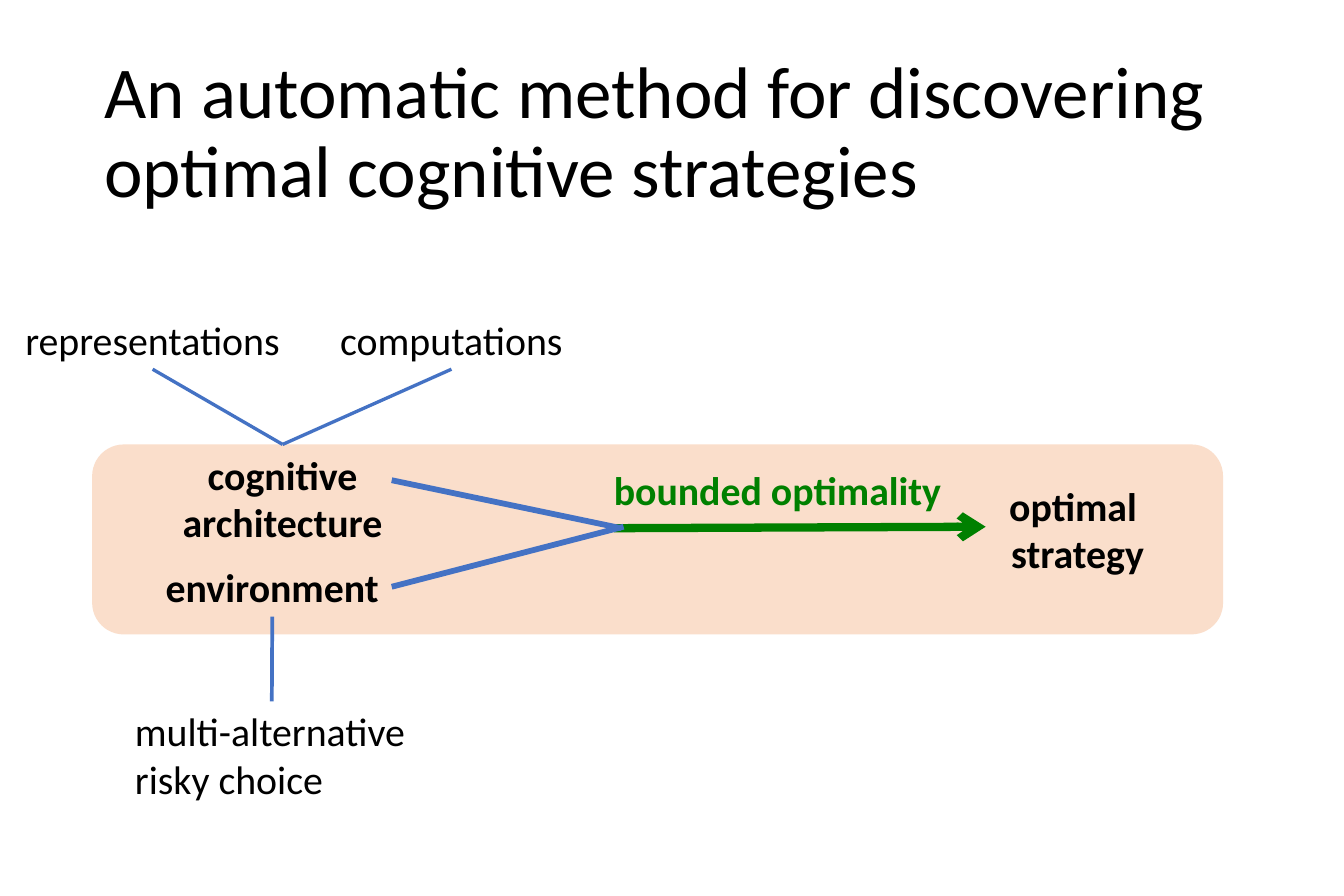
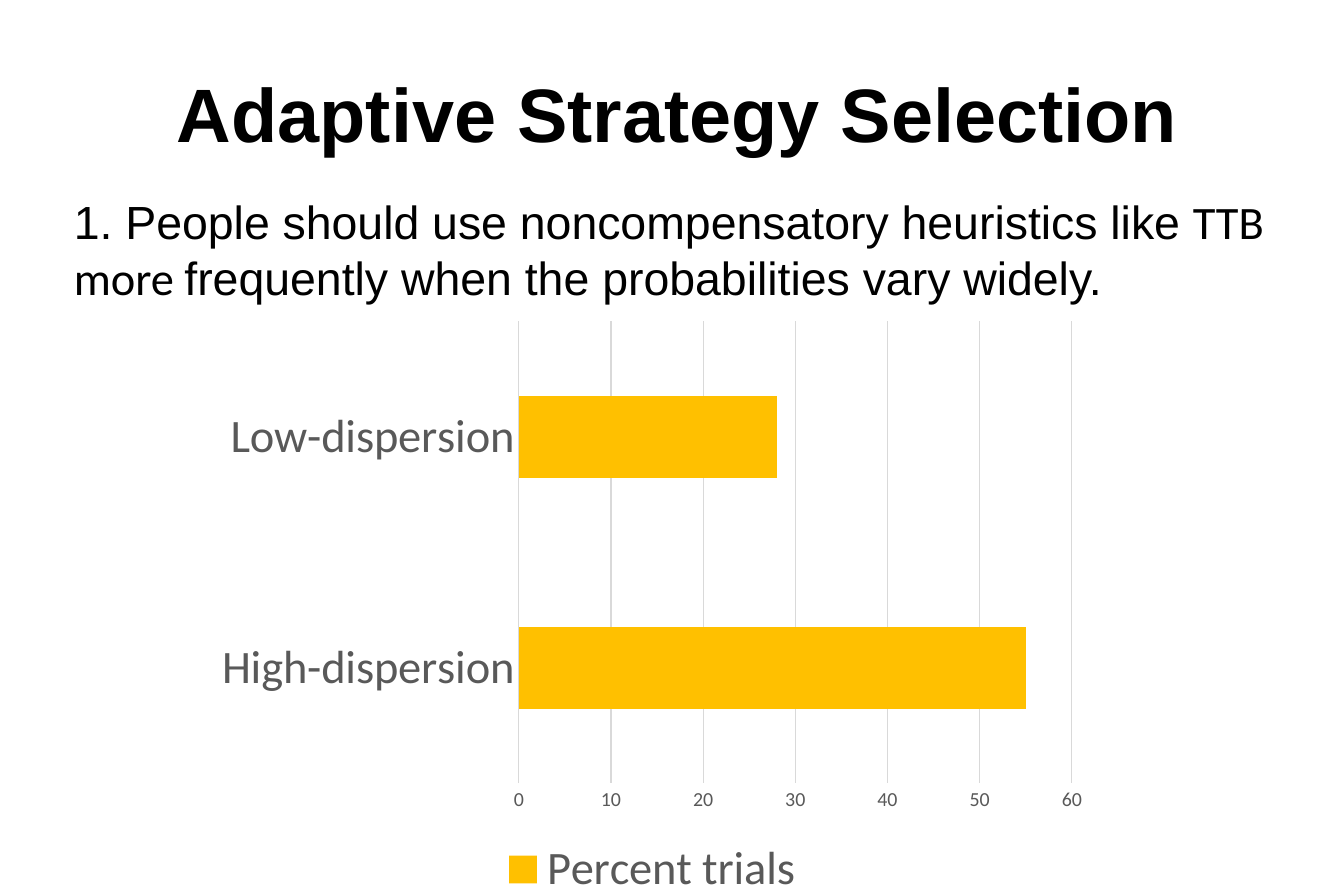
from lxml import etree
from pptx import Presentation
from pptx import util as u
from pptx.chart.data import CategoryChartData
from pptx.dml.color import RGBColor
from pptx.enum import chart as ch
from pptx.enum import shapes, text
from pptx.oxml.ns import qn

COLOURS = {
    "text": "000000",
    "panel": "ED7D31",
    "link": "4472C4",
    "method": "008000",
    "bar": "FFC000",
    "axis_text": "595959",
    "grid": "D9D9D9",
}
BODY_FONT, TALK_FONT = "Calibri", "Arial"
LABEL_SIZE = 24
LINE_HEIGHT, TWO_LINES = 1.27, 2.31
LEFT, CENTER = text.PP_ALIGN.LEFT, text.PP_ALIGN.CENTER
TOP, RIGHT, BOTTOM = 0, 3, 2  # connection sites


def colour(name):
    return RGBColor.from_string(COLOURS[name])


def cm(*lengths):
    return [u.Cm(length) for length in lengths]


def style_font(font, size, name=BODY_FONT, ink="text", bold=False):
    font.size, font.name, font.bold = u.Pt(size), name, bold
    font.color.rgb = colour(ink)


def add_run(paragraph, words, size, **style):
    run = paragraph.add_run()
    run.text = words
    style_font(run.font, size, **style)


def add_title_slide(presentation, words, box, size, align, **style):
    """Title-only slide with its placeholder moved and formatted."""
    slide = presentation.slides.add_slide(presentation.slide_layouts[5])
    title = slide.shapes.title
    title.left, title.top, title.width, title.height = cm(*box)
    frame = title.text_frame
    frame.auto_size = text.MSO_AUTO_SIZE.NONE
    frame.word_wrap = True
    frame.vertical_anchor = text.MSO_ANCHOR.MIDDLE
    paragraph = frame.paragraphs[0]
    paragraph.alignment, paragraph.line_spacing = align, 0.9
    add_run(paragraph, words, size, **style)
    return slide


def add_label(slide, lines, left, top, width, height=LINE_HEIGHT,
              align=CENTER, wrap=False, **style):
    box = slide.shapes.add_textbox(*cm(left, top, width, height))
    box.text_frame.word_wrap = wrap
    paragraph = box.text_frame.paragraphs[0]
    paragraph.alignment = align
    for index, line in enumerate(lines):
        if index:
            paragraph.add_line_break()
        add_run(paragraph, line, LABEL_SIZE, **style)
    return box


def add_line(slide, start, end, width, ink="link", arrow=False):
    """Each end is a point in cm or a (shape, site) pair to join."""
    joined = [not isinstance(tip[0], (int, float)) for tip in (start, end)]
    points = [(0, 0) if join else tip for tip, join in zip((start, end), joined)]
    line = slide.shapes.add_connector(
        shapes.MSO_CONNECTOR.STRAIGHT, *cm(*points[0], *points[1]))
    if joined[0]:
        line.begin_connect(*start)
    if joined[1]:
        line.end_connect(*end)
    line.line.width = u.Pt(width)
    line.line.color.rgb = colour(ink)
    properties = line._element.spPr
    if arrow:
        etree.SubElement(properties.find(qn("a:ln")), qn("a:tailEnd"), type="arrow")
    etree.SubElement(properties, qn("a:effectLst"))


def add_panel(slide, *box):
    panel = slide.shapes.add_shape(shapes.MSO_SHAPE.ROUNDED_RECTANGLE, *cm(*box))
    panel.shadow.inherit = False
    panel.fill.solid()
    panel.fill.fore_color.rgb = colour("panel")
    panel.line.fill.background()
    tint = panel._element.spPr.find(qn("a:solidFill"))[0]
    etree.SubElement(tint, qn("a:alpha"), val="25000")


def add_statement(slide, paragraphs, box, size):
    """Hanging-indent paragraphs, each a list of (words, font) runs."""
    shape = slide.shapes.add_textbox(*cm(*box))
    frame = shape.text_frame
    frame.word_wrap = True
    for index, runs in enumerate(paragraphs):
        paragraph = frame.add_paragraph() if index else frame.paragraphs[0]
        properties = paragraph._p.get_or_add_pPr()
        properties.set("marL", str(u.Cm(1.42)))
        properties.set("indent", str(-u.Cm(1.42)))
        for words, font_name in runs:
            add_run(paragraph, words, size, name=font_name)


def add_bar_chart(slide, categories, name, values, box):
    data = CategoryChartData()
    data.categories = categories
    data.add_series(name, values)
    chart = slide.shapes.add_chart(
        ch.XL_CHART_TYPE.BAR_CLUSTERED, *cm(*box), data).chart
    style_font(chart.font, 10)
    chart.has_title = False

    # Bars
    plot = chart.plots[0]
    plot.gap_width, plot.vary_by_categories = 182, False
    fill = plot.series[0].format.fill
    fill.solid()
    fill.fore_color.rgb = colour("bar")

    # Axes
    category_axis, value_axis = chart.category_axis, chart.value_axis
    for axis, size in ((category_axis, 28), (value_axis, 12)):
        axis.major_tick_mark = axis.minor_tick_mark = ch.XL_TICK_MARK.NONE
        style_font(axis.tick_labels.font, size, ink="axis_text")
    category_axis.has_major_gridlines = False
    value_axis.has_major_gridlines = True
    for line in (category_axis.format.line, value_axis.major_gridlines.format.line):
        line.width = u.Pt(0.75)
        line.color.rgb = colour("grid")
    value_axis.format.line.fill.background()
    value_axis.minimum_scale, value_axis.maximum_scale = 0, 60
    value_axis.major_unit = 10

    # Legend
    chart.has_legend = True
    chart.legend.position = ch.XL_LEGEND_POSITION.BOTTOM
    chart.legend.include_in_layout = False
    style_font(chart.legend.font, 28, ink="axis_text")


def build_method_slide(presentation):
    slide = add_title_slide(
        presentation,
        "An automatic method for discovering optimal cognitive strategies",
        (1.96, 1.02, 24.64, 3.68), 44, LEFT)
    add_panel(slide, 1.96, 9.45, 24.05, 4.04)

    # Method and result
    add_label(slide, ["optimal ", "strategy"], 19.79, 10.11, 6.25, TWO_LINES,
              wrap=True, bold=True)
    add_line(slide, (13.06, 11.23), (20.96, 11.2), 5, "method", arrow=True)
    add_label(slide, ["bounded optimality"], 12.47, 9.78, 8.13,
              wrap=True, ink="method", bold=True)

    # Inputs
    architecture = add_label(slide, ["cognitive", "architecture"],
                             3.61, 9.45, 4.8, TWO_LINES, bold=True)
    environment = add_label(slide, ["environment"], 3.25, 11.84, 5.08, bold=True)
    add_line(slide, (8.33, 10.21), (13.21, 11.23), 3.5)
    add_line(slide, (environment, RIGHT), (13.26, 11.2), 3.5)

    # Details of the inputs
    for word, left, width in (("representations", 0.25, 5.99),
                              ("computations", 6.96, 5.28)):
        part = add_label(slide, [word], left, 6.58, width)
        add_line(slide, (part, BOTTOM), (architecture, TOP), 2)
    choice = add_label(slide, ["multi-alternative", "risky choice"],
                       2.62, 14.91, 6.32, TWO_LINES, align=LEFT)
    add_line(slide, (environment, BOTTOM), (choice, TOP), 2.25)


def build_selection_slide(presentation):
    slide = add_title_slide(
        presentation, "Adaptive Strategy Selection",
        (0, 1.4, 28.8, 2.21), 45.6, CENTER, name=TALK_FONT, bold=True)
    add_statement(slide, [
        [("1. People should use noncompensatory heuristics like ", TALK_FONT),
         ("TTB", BODY_FONT)],
        [("more ", BODY_FONT),
         ("frequently when the probabilities vary widely.", TALK_FONT)],
    ], (1.32, 3.99, 26.11, 2.6), 28)
    add_bar_chart(slide, ["High-dispersion", "Low-dispersion"],
                  "Percent trials", [55, 28], (4.34, 6.58, 19.05, 12.7))


def main():
    presentation = Presentation()
    presentation.slide_width, presentation.slide_height = cm(28.58, 19.05)
    build_method_slide(presentation)
    build_selection_slide(presentation)
    presentation.save("out.pptx")


if __name__ == "__main__":
    main()
